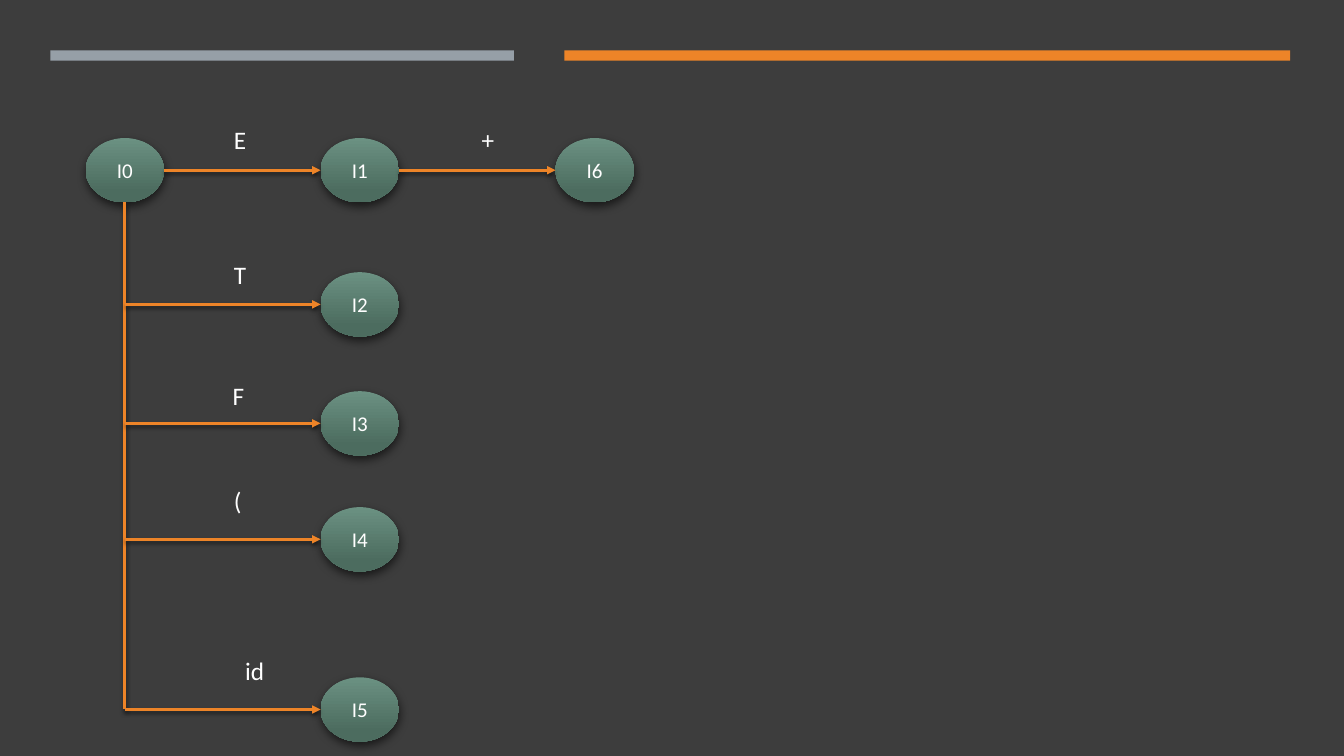
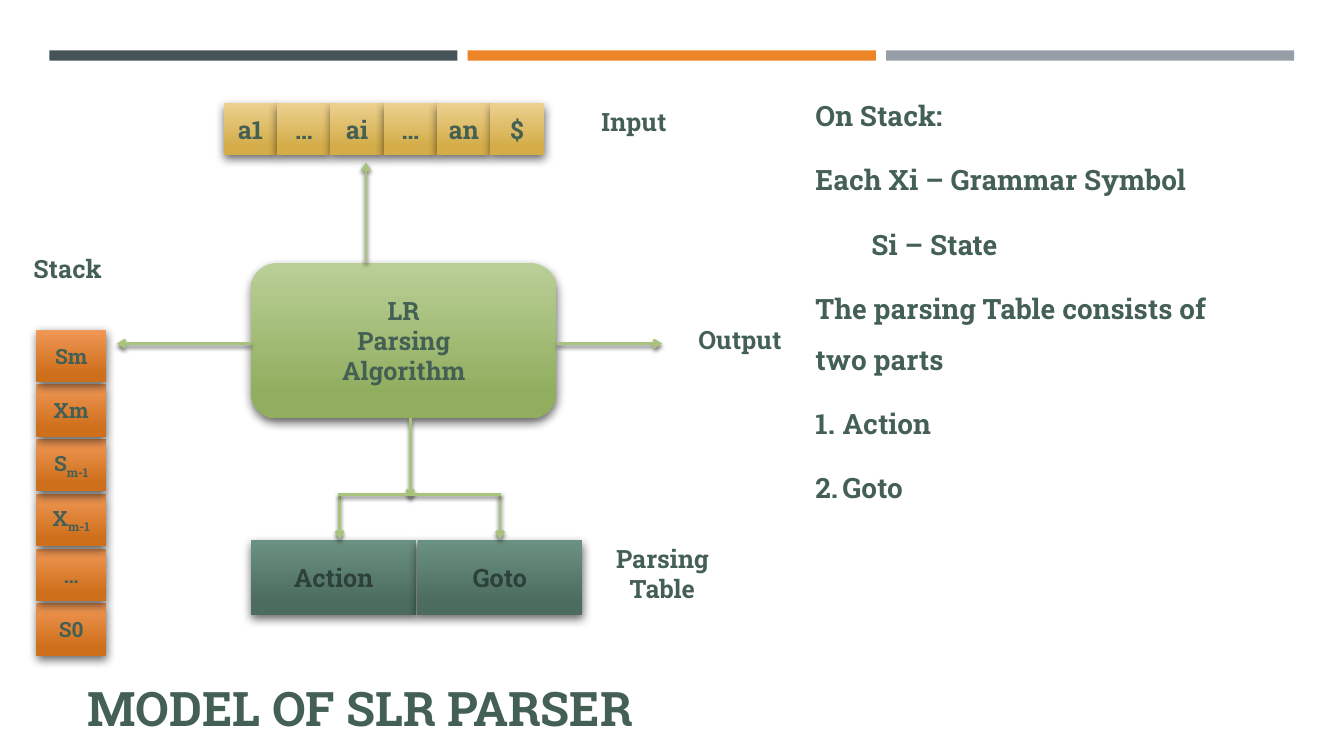
from lxml import etree
from pptx import Presentation
from pptx.dml.color import RGBColor
from pptx.enum.shapes import MSO_CONNECTOR, MSO_SHAPE
from pptx.enum.text import MSO_ANCHOR, MSO_AUTO_SIZE, PP_ALIGN
from pptx.oxml.ns import qn
from pptx.util import Pt

RECT, ROUNDED, OVAL = MSO_SHAPE.RECTANGLE, MSO_SHAPE.ROUNDED_RECTANGLE, MSO_SHAPE.OVAL
STRAIGHT = MSO_CONNECTOR.STRAIGHT
LEFT, CENTER = PP_ALIGN.LEFT, PP_ALIGN.CENTER
TOP, MIDDLE, BOTTOM = MSO_ANCHOR.TOP, MSO_ANCHOR.MIDDLE, MSO_ANCHOR.BOTTOM
FIT_SHAPE, NO_FIT = MSO_AUTO_SIZE.SHAPE_TO_FIT_TEXT, MSO_AUTO_SIZE.NONE

WHITE = RGBColor(0xFF, 0xFF, 0xFF)
CHARCOAL = RGBColor(0x3D, 0x3D, 0x3D)
SLATE = RGBColor(0x46, 0x53, 0x59)
GRAY = RGBColor(0x96, 0x9F, 0xA7)
ORANGE = RGBColor(0xED, 0x84, 0x28)
LIME = RGBColor(0xA9, 0xC3, 0x7C)
PINE = RGBColor(0x44, 0x60, 0x55)
DARK_PINE = RGBColor(0x2D, 0x40, 0x39)
GREEN_FADE = (RGBColor(0x6B, 0x91, 0x82), RGBColor(0x4C, 0x6C, 0x5F))
GOLD_FADE = (RGBColor(0xEC, 0xD1, 0x90), RGBColor(0xD4, 0xAD, 0x49))
LIME_FADE = (RGBColor(0xBA, 0xCF, 0x97), RGBColor(0x91, 0xAE, 0x5E))
ORANGE_FADE = (RGBColor(0xF0, 0x98, 0x56), RGBColor(0xCE, 0x6F, 0x1B))

SANS, SLAB = "Calibri", "Roboto Slab"
SHAPE_SHADOW = dict(alpha=60, blur=7, dist=3, angle=84)
LINE_SHADOW = dict(alpha=55, blur=3, dist=2, angle=90)

BAND_TOP, BAND_H = 36, 7.4
GRAPH_BANDS = [(36, 331.2, GRAY), (403.2, 518.4, ORANGE)]
MODEL_BANDS = [(35.2, 291.6, SLATE), (334.1, 291.6, ORANGE), (632.9, 291.6, GRAY)]

NODE_W, NODE_H = 56, 46
NODE_LEFT, NODE_PITCH = 61.2, 167.8
ROW_TOPS = [98.6, 194.4, 279.4, 362.2, 483.8]
NODES = [("I0", 0, 0), ("I1", 1, 0), ("I6", 2, 0),
         ("I2", 1, 1), ("I3", 1, 2), ("I4", 1, 3), ("I5", 1, 4)]
EDGE_LABELS = [("E", 160, 85), ("+", 337, 85), ("T", 160, 182),
               ("F", 159, 268), ("(", 160, 343), ("id", 168, 464.5)]

TITLE = "MODEL OF SLR PARSER"
INPUT_CELLS = ["a1", "…", "ai", "…", "an", "$"]
STACK_CELLS = [("Sm", ""), ("Xm", ""), ("S", "m-1"), ("X", "m-1"), ("…", ""), ("S0", "")]
TABLE_PARTS = ["Action", "Goto"]
ALGORITHM = "LR\nParsing\nAlgorithm"
MODEL_LABELS = [("Input", 410.4, 72.7), ("Stack", 5.8, 177.1),
                ("Output", 486, 228.2), ("Parsing Table", 430.6, 384.5)]
MODEL_ARROWS = [(261.4, 187.5, 261.4, 116), (179, 245.5, 83.5, 245.5),
                (398, 245.5, 473, 245.5), (293, 298.5, 293, 356),
                (242.6, 353, 242.6, 385.5), (357.2, 353, 357.2, 385.5)]
NOTES_LINES = [("On Stack:", 0, False), ("Each Xi – Grammar Symbol", 0, False),
               ("Si – State", 40, False),
               ("The parsing Table consists of two parts", 0, False),
               ("Action", 19.3, True), ("Goto", 19.3, True)]


def place(shape, x, y, w, h):
    shape.left, shape.top, shape.width, shape.height = Pt(x), Pt(y), Pt(w), Pt(h)


def add_shadow(effects, alpha, blur, dist, angle):
    shadow = etree.SubElement(effects, qn("a:outerShdw"), blurRad=str(Pt(blur)),
                              dist=str(Pt(dist)), dir=str(angle * 60000),
                              algn="ctr", rotWithShape="0")
    color = etree.SubElement(shadow, qn("a:srgbClr"), val="000000")
    etree.SubElement(color, qn("a:alpha"), val=str(alpha * 1000))


def format_text(tf, font, size, color, align=LEFT):
    for p in tf.paragraphs:
        p.alignment = align
        for r in p.runs:
            r.font.name, r.font.size = font, Pt(size)
            r.font.bold = font == SLAB
            r.font.color.rgb = color


def add_bands(s, bands):
    for x, w, color in bands:
        band = s.shapes.add_shape(RECT, Pt(x), Pt(BAND_TOP), Pt(w), Pt(BAND_H))
        band.shadow.inherit = False
        band.fill.solid()
        band.fill.fore_color.rgb = color
        band.line.fill.background()


def add_block(s, kind, box, fade, text, font, size, color, subscript=""):
    sp = s.shapes.add_shape(kind, *map(Pt, box))
    sp.fill.gradient()
    sp.fill.gradient_angle = 270
    for stop, stop_color, position in zip(sp.fill.gradient_stops, fade, (0, 0.84)):
        stop.color.rgb, stop.position = stop_color, position
    sp.line.fill.background()
    sp.shadow.inherit = False
    add_shadow(sp._element.spPr.find(qn("a:effectLst")), **SHAPE_SHADOW)
    tf = sp.text_frame
    tf.margin_left = tf.margin_right = tf.margin_top = tf.margin_bottom = 0
    tf.vertical_anchor = MIDDLE
    tf.text = text
    if subscript:
        r = tf.paragraphs[0].add_run()
        r.text = subscript
        r._r.get_or_add_rPr().set("baseline", "-25000")
    format_text(tf, font, size, color, CENTER)


def add_line(s, ends, color, arrow=None):
    line = s.shapes.add_connector(STRAIGHT, *map(Pt, ends))
    line.line.color.rgb = color
    line.line.width = Pt(2)
    if arrow:
        etree.SubElement(line.line._get_or_add_ln(), qn("a:tailEnd"), type=arrow)
    effects = etree.SubElement(line._element.spPr, qn("a:effectLst"))
    add_shadow(effects, **LINE_SHADOW)


def add_label(s, text, x, y, w, font, color, align):
    label = s.shapes.add_textbox(Pt(x), Pt(y), Pt(w), Pt(29))
    tf = label.text_frame
    tf.word_wrap = True
    tf.auto_size = FIT_SHAPE
    tf.text = text
    format_text(tf, font, 18, color, align)


def build_graph(prs):
    s = prs.slides.add_slide(prs.slide_layouts[6])
    s.background.fill.solid()
    s.background.fill.fore_color.rgb = CHARCOAL
    add_bands(s, GRAPH_BANDS)

    columns = [NODE_LEFT + i * NODE_PITCH for i in range(3)]
    middles = [top + NODE_H / 2 for top in ROW_TOPS]
    trunk = NODE_LEFT + NODE_W / 2
    for name, column, row in NODES:
        add_block(s, OVAL, (columns[column], ROW_TOPS[row], NODE_W, NODE_H),
                  GREEN_FADE, name, SANS, 15, WHITE)
    for start, end in zip(columns, columns[1:]):
        add_line(s, (start + NODE_W, middles[0], end, middles[0]), ORANGE, "triangle")
    add_line(s, (trunk, ROW_TOPS[0] + NODE_H, trunk, middles[-1]), ORANGE)
    for y in middles[1:]:
        add_line(s, (trunk, y, columns[1], y), ORANGE, "triangle")
    for text, x, y in EDGE_LABELS:
        add_label(s, text, x, y, 43, SANS, WHITE, LEFT)


def fill_notes(body):
    place(body, 575.3, 54.7, 318.2, 316)
    tf = body.text_frame
    tf.auto_size = NO_FIT
    tf.vertical_anchor = TOP
    tf.text = "\n".join(text for text, _, _ in NOTES_LINES)
    for i, (p, (_, indent, numbered)) in enumerate(zip(tf.paragraphs, NOTES_LINES)):
        pPr = p._p.get_or_add_pPr()
        pPr.set("marL", str(Pt(indent)))
        pPr.set("indent", str(Pt(-indent if numbered else 0)))
        if numbered:
            etree.SubElement(pPr, qn("a:buFont"), typeface=SLAB)
            etree.SubElement(pPr, qn("a:buAutoNum"), type="arabicPeriod")
        else:
            etree.SubElement(pPr, qn("a:buNone"))
        p.line_spacing = 1.5
        p.space_before = Pt(4 if i else 0)
        p.space_after = Pt(6)
    format_text(tf, SLAB, 20, PINE)


def build_model(prs):
    s = prs.slides.add_slide(prs.slide_layouts[1])
    add_bands(s, MODEL_BANDS)

    title, body = s.placeholders
    place(title, 55.4, 486, 551.5, 43.2)
    title.text_frame.text = TITLE
    title.text_frame.auto_size = NO_FIT
    title.text_frame.vertical_anchor = BOTTOM
    format_text(title.text_frame, SLAB, 34, PINE)
    fill_notes(body)

    for i, text in enumerate(INPUT_CELLS):
        add_block(s, RECT, (159.8 + i * 38.1, 73.4, 38.2, 37.4),
                  GOLD_FADE, text, SLAB, 18, PINE)
    for i, (text, subscript) in reversed(list(enumerate(STACK_CELLS))):
        add_block(s, RECT, (26, 235.4 + i * 39.1, 49.7, 37.4),
                  ORANGE_FADE, text, SLAB, 15, PINE, subscript)
    add_block(s, ROUNDED, (179.3, 187.9, 218.2, 110.9),
              LIME_FADE, ALGORITHM, SLAB, 18, PINE)
    for i, text in enumerate(TABLE_PARTS):
        add_block(s, RECT, (179.3 + i * 118.8, 385.9, 118, 53.3),
                  GREEN_FADE, text, SLAB, 18, DARK_PINE)
    for ends in MODEL_ARROWS:
        add_line(s, ends, LIME, "arrow")
    add_line(s, (241.6, 353, 358.2, 353), LIME)
    for text, x, y in MODEL_LABELS:
        add_label(s, text, x, y, 85, SLAB, PINE, CENTER)


def main():
    prs = Presentation()
    prs.slide_width, prs.slide_height = Pt(960), Pt(540)
    build_graph(prs)
    build_model(prs)
    prs.save("out.pptx")


if __name__ == "__main__":
    main()
